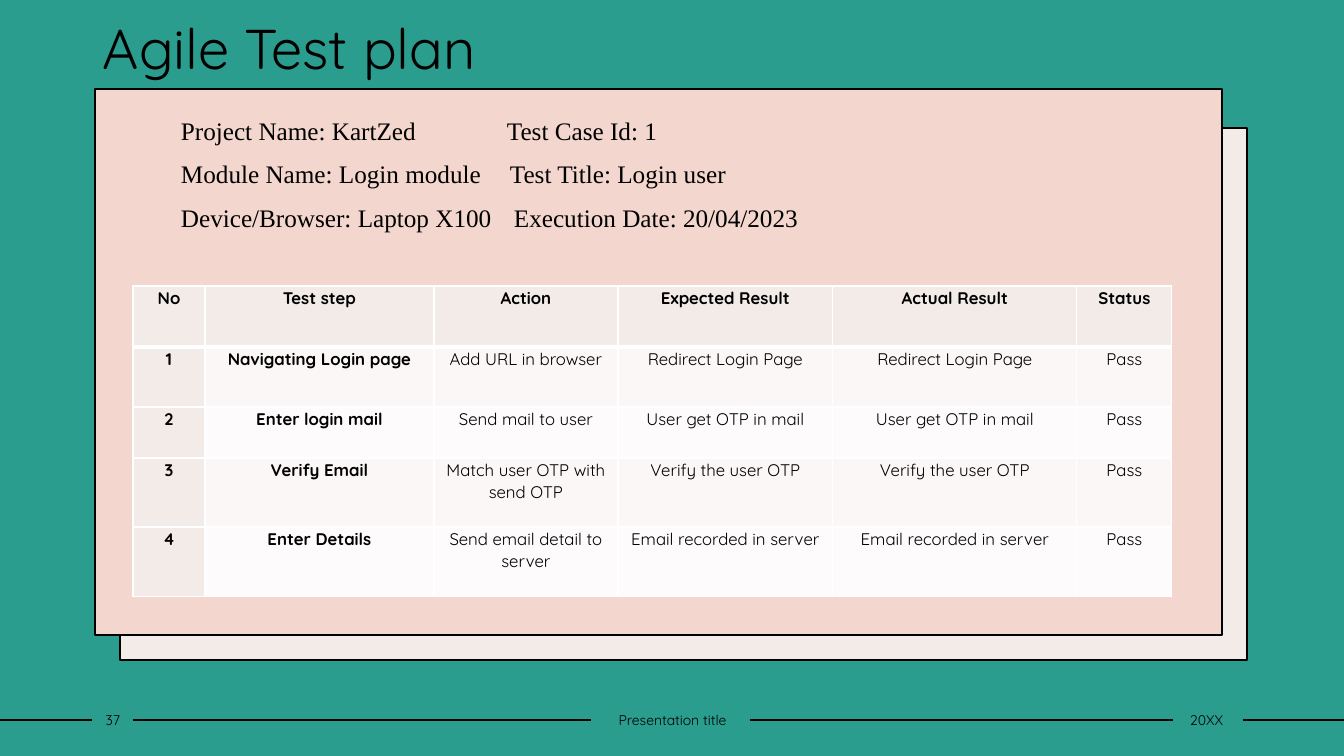
from lxml.etree import SubElement
from pptx import Presentation
from pptx.dml.color import RGBColor
from pptx.enum.shapes import MSO_CONNECTOR, MSO_SHAPE
from pptx.enum.text import MSO_ANCHOR as ANCHOR, PP_ALIGN as ALIGN
from pptx.oxml.ns import qn
from pptx.util import Pt

SCALE = 9144000 / 1008
SANS, SERIF = "Quicksand", "Times New Roman"
BLACK, WHITE, TEAL, PINK, CREAM = "000000", "FFFFFF", "2A9D8F", "F3D6CD", "F3EBE8"
STRIPES = ("FDFBFB", "FAF7F6")

DETAILS = [
    ("Project Name: KartZed", "Test Case Id: 1", 326),
    ("Module Name: Login module", "Test Title: Login user", 329),
    ("Device/Browser: Laptop X100", "Execution Date: 20/04/2023", 333),
]
STEPS = [
    ("No", "Test step", "Action", "Expected Result", "Actual Result", "Status"),
    ("1", "Navigating Login page", "Add URL in browser",
     "Redirect Login Page", "Redirect Login Page", "Pass"),
    ("2", "Enter login mail", "Send mail to user",
     "User get OTP in mail", "User get OTP in mail", "Pass"),
    ("3", "Verify Email", "Match user OTP with send OTP",
     "Verify the user OTP", "Verify the user OTP", "Pass"),
    ("4", "Enter Details", "Send email detail to server",
     "Email recorded in server", "Email recorded in server", "Pass"),
]
COL_WIDTHS = (72, 229, 184, 215, 244, 95)
ROW_HEIGHTS = (61, 60, 51, 69, 70)


def px(n):
    return round(n * SCALE)


def rgb(color):
    return RGBColor.from_string(color)


def style(p, size, font=SANS, bold=False, align=ALIGN.LEFT, spacing=1.0, after=0):
    p.alignment = align
    p.line_spacing = spacing
    p.space_before = Pt(0)
    p.space_after = Pt(after)
    for r in p.runs:
        r.font.size = Pt(size)
        r.font.name = font
        r.font.bold = bold
        r.font.color.rgb = rgb(BLACK)


def set_frame(tf, left, top, right, bottom, anchor):
    tf.word_wrap = True
    tf.margin_left, tf.margin_top = px(left), px(top)
    tf.margin_right, tf.margin_bottom = px(right), px(bottom)
    tf.vertical_anchor = anchor


def add_title(s, x, y, w, h):
    sp = s.shapes.title
    sp.left, sp.top, sp.width, sp.height = map(px, (x, y, w, h))
    tf = sp.text_frame
    tf.text = "Agile Test plan"
    set_frame(tf, 10, 5, 10, 5, ANCHOR.MIDDLE)
    style(tf.paragraphs[0], 40, spacing=0.9)


def add_panels(s, x, y, w, h):
    for left, top, height, fill in ((x + 25, y + 39, h - 14, CREAM), (x, y, h, PINK)):
        sp = s.shapes.add_shape(MSO_SHAPE.RECTANGLE, px(left), px(top), px(w), px(height))
        sp.shadow.inherit = False
        sp.fill.solid()
        sp.fill.fore_color.rgb = rgb(fill)
        sp.line.color.rgb = rgb(BLACK)
        sp.line.width = Pt(2)


def add_details(s, x, y, w, h):
    tf = s.shapes.add_textbox(px(x), px(y), px(w), px(h)).text_frame
    set_frame(tf, 60, 5, 10, 5, ANCHOR.TOP)
    for i, (left, right, tab) in enumerate(DETAILS):
        p = tf.paragraphs[0] if i == 0 else tf.add_paragraph()
        p.text = f"{left}\t{right}"
        style(p, 18, SERIF, spacing=1.07, after=8)
        tabs = SubElement(p._p.get_or_add_pPr(), qn("a:tabLst"))
        SubElement(tabs, qn("a:tab"), pos=str(px(tab)), algn="l")


def add_borders(cell, widths):
    tcPr = cell._tc.get_or_add_tcPr()
    for i, (side, width) in enumerate(widths.items()):
        ln = SubElement(tcPr, qn(f"a:ln{side}"), w=str(Pt(width)))
        fill = SubElement(ln, qn("a:solidFill"))
        SubElement(fill, qn("a:srgbClr"), val=WHITE)
        tcPr.insert(i, ln)


def add_steps(s, x, y):
    table = s.shapes.add_table(
        len(STEPS), len(COL_WIDTHS), px(x), px(y),
        px(sum(COL_WIDTHS)), px(sum(ROW_HEIGHTS))).table
    for col, width in zip(table.columns, COL_WIDTHS):
        col.width = px(width)
    for row, height in zip(table.rows, ROW_HEIGHTS):
        row.height = px(height)
    for i, step in enumerate(STEPS):
        for j, text in enumerate(step):
            cell = table.cell(i, j)
            cell.text = text
            cell.margin_left = cell.margin_right = px(7)
            cell.margin_top = cell.margin_bottom = 0
            cell.vertical_anchor = ANCHOR.TOP
            cell.fill.solid()
            cell.fill.fore_color.rgb = rgb(CREAM if i == 0 or j == 0 else STRIPES[i % 2])
            style(cell.text_frame.paragraphs[0], 12, bold=i == 0 or j < 2,
                  align=ALIGN.CENTER, spacing=1.07, after=8)
            add_borders(cell, {"L": 1, "R": 1, "T": 3 if i == 1 else 1, "B": 3 if i == 0 else 1})


def add_footer(s, y, h):
    line_y = px(y + 14)
    for x1, x2 in ((0, 92), (133, 591), (750, 1173), (1243, 1344)):
        line = s.shapes.add_connector(MSO_CONNECTOR.STRAIGHT, px(x1), line_y, px(x2), line_y)
        line.line.color.rgb = rgb(BLACK)
        line.line.width = Pt(1)
        SubElement(line._element.spPr, qn("a:effectLst"))
    for text, x, w in (("37", 93, 40), ("Presentation title", 592, 161), ("20XX", 1171, 71)):
        tf = s.shapes.add_textbox(px(x), px(y), px(w), px(h)).text_frame
        tf.text = text
        set_frame(tf, 0, 5, 0, 5, ANCHOR.MIDDLE)
        style(tf.paragraphs[0], 10, align=ALIGN.CENTER)


def main():
    prs = Presentation()
    prs.slide_width, prs.slide_height = px(1344), px(756)
    s = prs.slides.add_slide(prs.slide_layouts[5])
    s.background.fill.solid()
    s.background.fill.fore_color.rgb = rgb(TEAL)
    add_panels(s, 95, 89, 1127, 546)
    add_title(s, 93, 4, 428, 94)
    add_details(s, 121, 108, 990, 143)
    add_steps(s, 133, 286)
    add_footer(s, 706, 27)
    prs.save("out.pptx")


if __name__ == "__main__":
    main()
